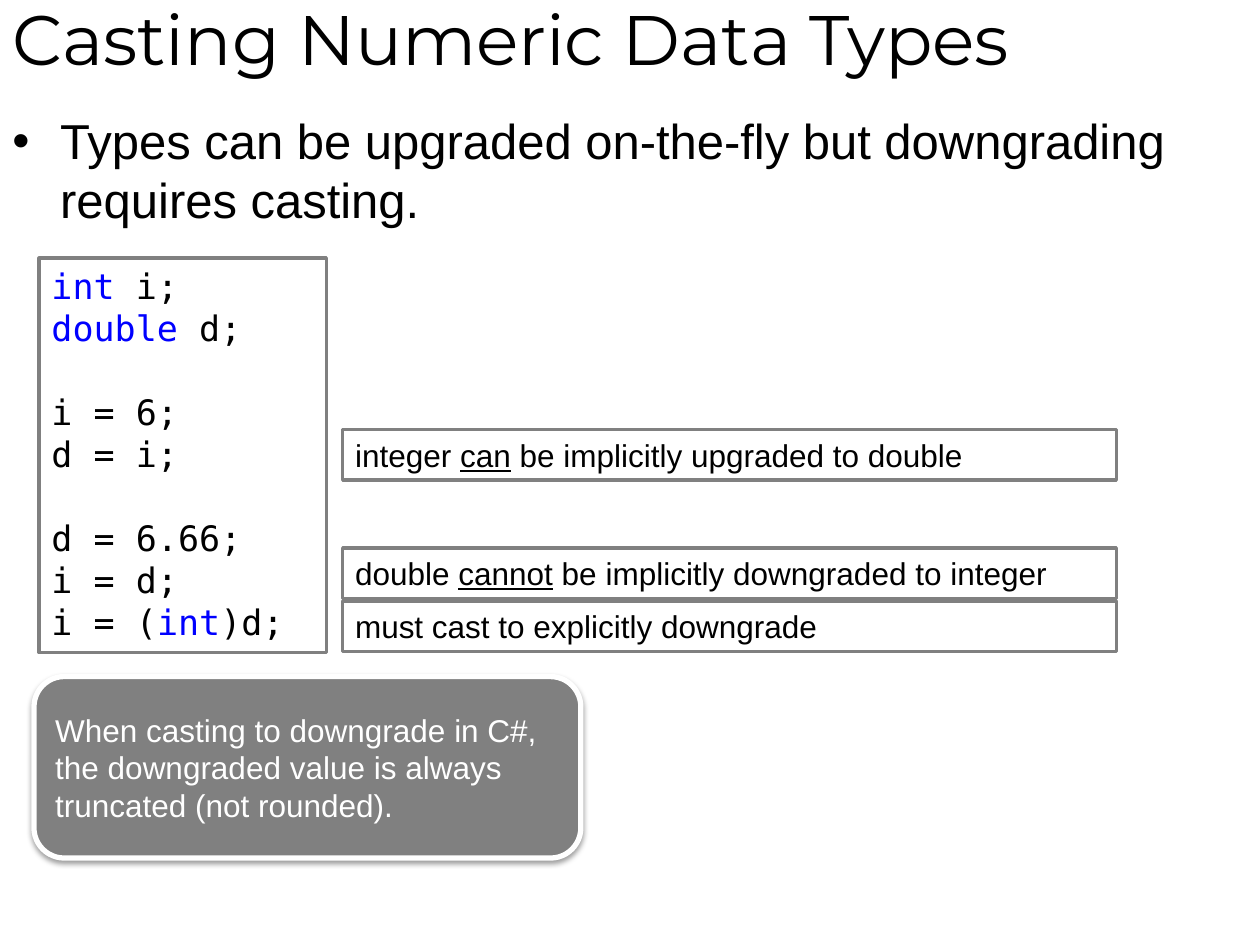
from dataclasses import dataclass

from lxml.etree import SubElement
from pptx import Presentation
from pptx.dml.color import RGBColor
from pptx.enum.shapes import MSO_SHAPE
from pptx.enum.text import MSO_ANCHOR, PP_ALIGN
from pptx.oxml.ns import qn
from pptx.util import Inches, Pt


@dataclass(frozen=True)
class Theme:
    head: str = "Montserrat"
    body: str = "Arial"
    mono: str = "DejaVu Sans Mono"
    ink: str = "000000"
    paper: str = "FFFFFF"
    edge: str = "808080"
    key: str = "0000FF"
    title: int = 40
    lead: int = 28
    code: int = 20
    note: int = 18


THEME = Theme()
WIDE, HIGH = 10, 7.5
NOTE_X, NOTE_W, NOTE_H = 2.72, 6.14, 0.4

# Each line is a list of (words, marked) runs; None leaves a gap.
CODE = [
    [("int ", True), ("i;", False)],
    [("double", True), (" d;", False)],
    None,
    [("i = 6;", False)],
    [("d = i;", False)],
    None,
    [("d = 6.66;", False)],
    [("i = d;", False)],
    [("i = (", False), ("int", True), (")d;", False)],
]
NOTES = [
    (3.41, [("integer ", False), ("can", True),
            (" be implicitly upgraded to double", False)]),
    (4.35, [("double ", False), ("cannot", True),
            (" be implicitly downgraded to integer", False)]),
    (4.77, [("must cast to explicitly downgrade", False)]),
]


def write(shape, lines, font=THEME.body, size=THEME.note, ink=THEME.ink,
          mark=None, under=False, gap=0, bullet=None, anchor=MSO_ANCHOR.TOP):
    """Fill a shape with lines; marked runs take the mark colour or underline."""
    frame = shape.text_frame
    frame.word_wrap = True
    frame.vertical_anchor = anchor
    para, space = frame.paragraphs[0], 0
    for line in lines:
        if line is None:
            space = gap
            continue
        if para.runs:
            para = frame.add_paragraph()
        para.alignment = PP_ALIGN.LEFT
        para.space_before = Pt(space)
        space = 0
        if bullet:
            props = para._p.get_or_add_pPr()
            props.set("marL", str(Inches(0.38)))
            props.set("indent", str(Inches(-0.38)))
            SubElement(props, qn("a:buFont"), typeface=THEME.body)
            SubElement(props, qn("a:buChar"), char=bullet)
        for words, marked in line:
            run = para.add_run()
            run.text = words
            run.font.name, run.font.size = font, Pt(size)
            tint = mark if marked and mark else ink
            run.font.color.rgb = RGBColor.from_string(tint)
            if marked and under:
                run.font.underline = True


def label(slide, box, words, **form):
    shape = slide.shapes.add_textbox(*map(Inches, box))
    write(shape, [[(words, False)]], **form)


def panel(slide, box, lines, kind=MSO_SHAPE.RECTANGLE, fill=THEME.paper,
          line=THEME.edge, width=2, **form):
    shape = slide.shapes.add_shape(kind, *map(Inches, box))
    shape.shadow.inherit = False
    shape.fill.solid()
    shape.fill.fore_color.rgb = RGBColor.from_string(fill)
    shape.line.color.rgb = RGBColor.from_string(line)
    shape.line.width = Pt(width)
    write(shape, lines, **form)
    return shape


def shade(shape):
    """Cast a soft shadow straight down."""
    effects = shape._element.spPr.find(qn("a:effectLst"))
    outer = SubElement(effects, qn("a:outerShdw"), blurRad=str(Pt(3.1)),
                       dist=str(Pt(1.6)), dir="5400000", rotWithShape="0")
    tint = SubElement(outer, qn("a:srgbClr"), val=THEME.ink)
    SubElement(tint, qn("a:alpha"), val="38000")


def main():
    deck = Presentation()
    deck.slide_width, deck.slide_height = Inches(WIDE), Inches(HIGH)
    slide = deck.slides.add_slide(deck.slide_layouts[6])

    label(slide, (0, -0.08, WIDE, HIGH / 10), "Casting Numeric Data Types",
          font=THEME.head, size=THEME.title, anchor=MSO_ANCHOR.MIDDLE)
    label(slide, (0, 0.83, WIDE, 6.17),
          "Types can be upgraded on-the-fly but downgrading requires casting.",
          size=THEME.lead, bullet="•")
    for top, line in NOTES:
        panel(slide, (NOTE_X, top, NOTE_W, NOTE_H), [line], under=True)
    panel(slide, (0.31, 2.05, 2.28, 3.13), CODE, font=THEME.mono,
          size=THEME.code, mark=THEME.key, gap=THEME.code * 1.2)
    tip = panel(slide, (0.27, 5.37, 4.34, 1.44),
                [[("When casting to downgrade in C#,", False)],
                 [("the downgraded value is always truncated (not rounded).",
                   False)]],
                kind=MSO_SHAPE.ROUNDED_RECTANGLE, fill=THEME.edge,
                line=THEME.paper, width=3, ink=THEME.paper,
                anchor=MSO_ANCHOR.MIDDLE)
    shade(tip)
    deck.save("out.pptx")


if __name__ == "__main__":
    main()
